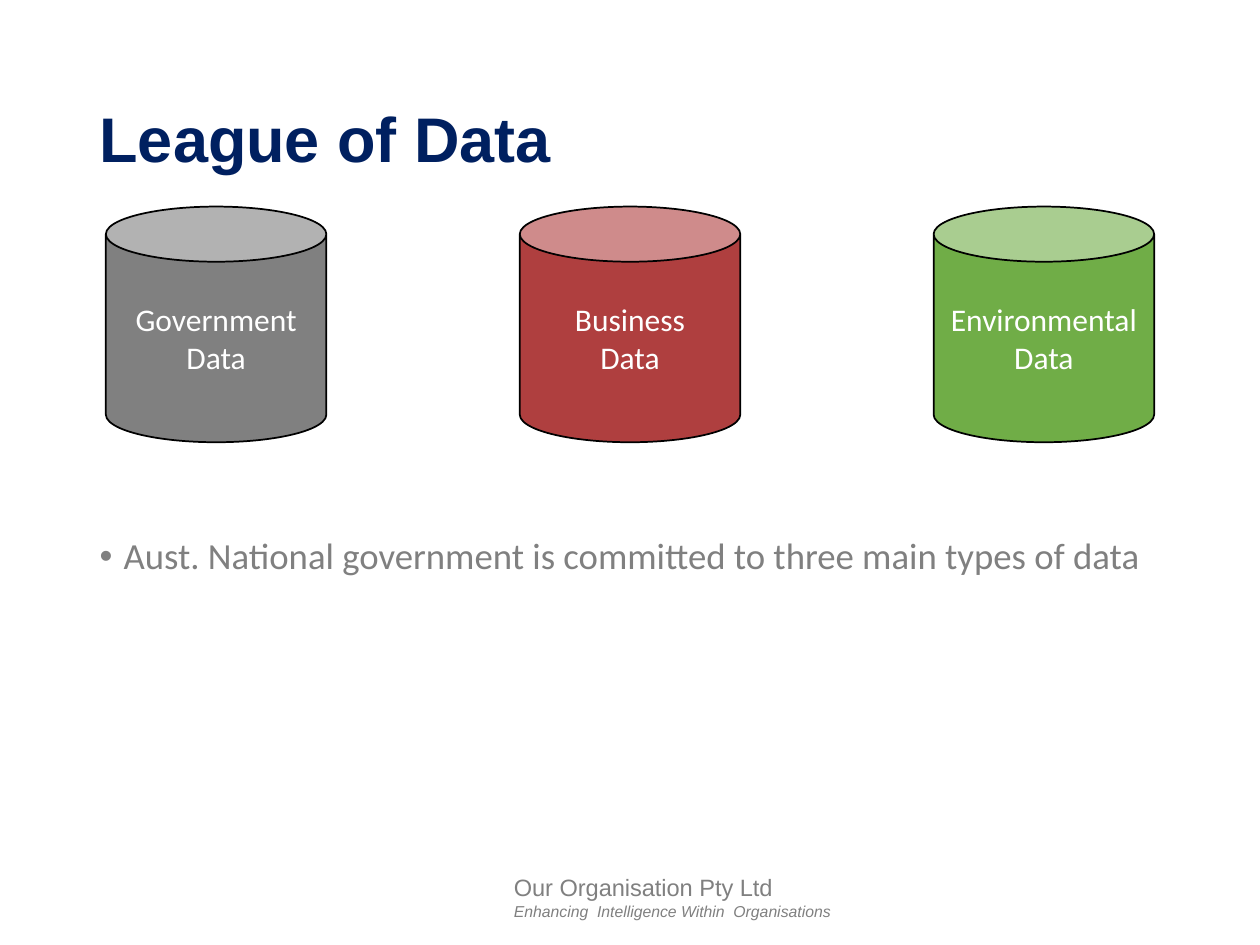
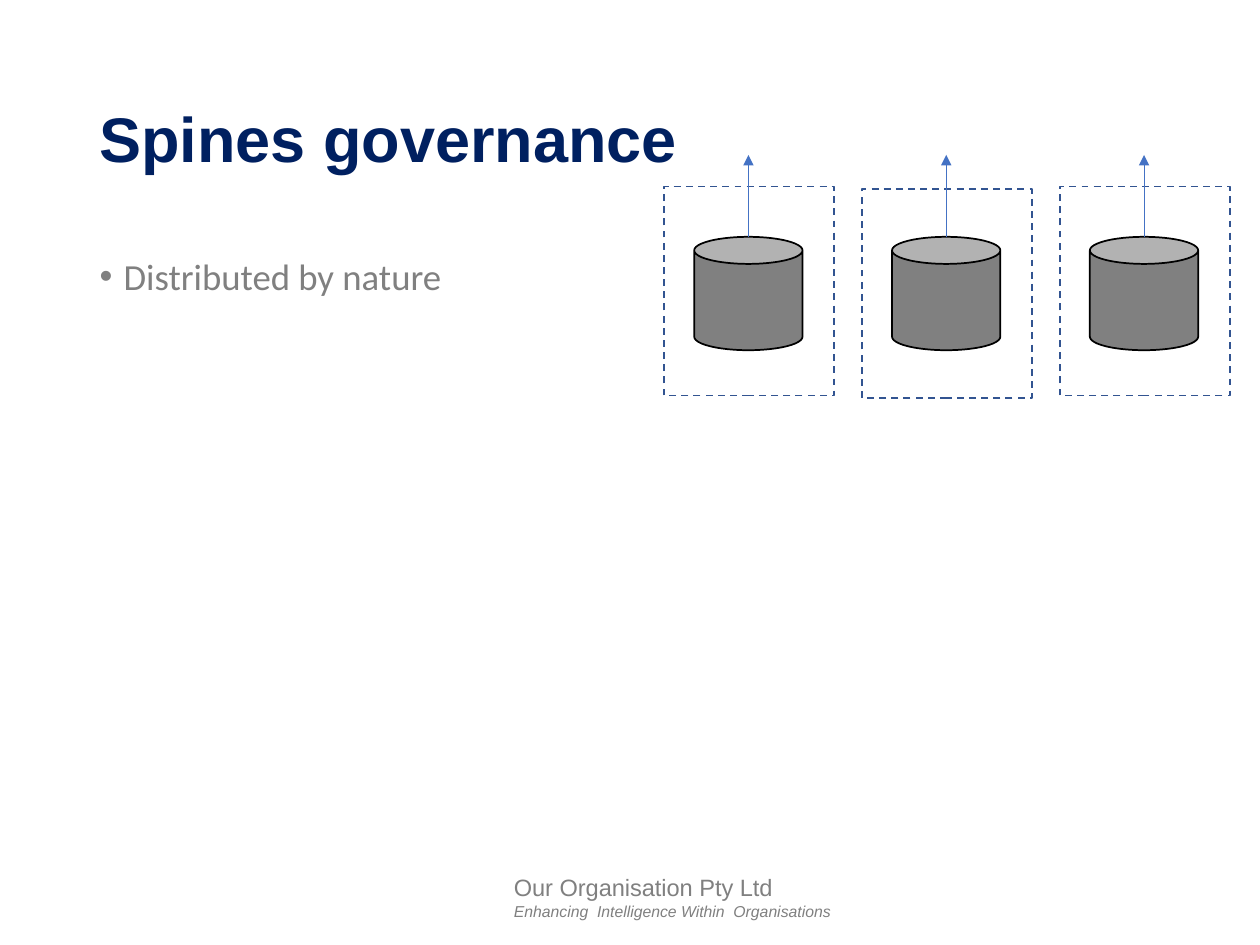
from dataclasses import dataclass

from lxml import etree
from pptx import Presentation
from pptx.dml.color import RGBColor
from pptx.enum.dml import MSO_LINE
from pptx.enum.shapes import MSO_CONNECTOR, MSO_SHAPE
from pptx.enum.text import MSO_ANCHOR, MSO_AUTO_SIZE, PP_ALIGN
from pptx.oxml.ns import qn
from pptx.presentation import Presentation as Deck
from pptx.shapes.autoshape import Shape
from pptx.slide import Slide
from pptx.util import Inches, Pt

CAN, RECTANGLE = MSO_SHAPE.CAN, MSO_SHAPE.RECTANGLE
STRAIGHT, DASH = MSO_CONNECTOR.STRAIGHT, MSO_LINE.DASH
LEFT, CENTER = PP_ALIGN.LEFT, PP_ALIGN.CENTER
MIDDLE, TOP = MSO_ANCHOR.MIDDLE, MSO_ANCHOR.TOP
NO_AUTOFIT = MSO_AUTO_SIZE.NONE
TITLE_AND_CONTENT = 1

COLORS = {
    "navy": "002060",
    "gray": "808080",
    "red": "AF3F3F",
    "green": "70AD47",
    "white": "FFFFFF",
    "black": "000000",
    "frame": "325491",
    "arrow": "4472C4",
}


@dataclass(frozen=True)
class Area:
    left: float
    top: float
    width: float
    height: float

    @property
    def center(self) -> float:
        return self.left + self.width / 2

    def lengths(self) -> tuple[int, int, int, int]:
        return Inches(self.left), Inches(self.top), Inches(self.width), Inches(self.height)


@dataclass(frozen=True)
class TextStyle:
    size: float
    font: str
    color: str
    bold: bool = False
    italic: bool = False


@dataclass(frozen=True)
class DataStore:
    label: str
    color: str


TITLE_STYLE = TextStyle(36, "Arial", "navy", bold=True)
BULLET_STYLE = TextStyle(21, "Calibri", "gray")
STORE_STYLE = TextStyle(18, "Calibri", "white")
COMPANY_STYLE = TextStyle(13.5, "Arial", "gray")
MOTTO_STYLE = TextStyle(9, "Arial", "gray", italic=True)

TITLE_AREA = Area(0.69, 0.4, 8.62, 1.45)
FOOTER_AREA = Area(3.98, 6.88, 2.88, 0.48)

STORES = (
    DataStore("Government Data", "gray"),
    DataStore("Business\nData", "red"),
    DataStore("Environmental Data", "green"),
)
STORE_LEFT, STORE_PITCH = 0.84, 3.285

FRAME_TOPS = (1.48, 1.5, 1.48)
FRAME_LEFT, SPINE_PITCH = 5.27, 1.57
SPINE_LEFT, SPINE_TOP = 5.51, 1.88
ARROW_TIP = 1.23


def rgb(name: str) -> RGBColor:
    return RGBColor.from_string(COLORS[name])


def add_span(para, text: str, style: TextStyle) -> None:
    span = para.add_run()
    span.text = text
    font = span.font
    font.size, font.name = Pt(style.size), style.font
    font.bold, font.italic = style.bold, style.italic
    font.color.rgb = rgb(style.color)


def add_lines(para, text: str, style: TextStyle) -> None:
    for number, line in enumerate(text.split("\n")):
        if number:
            para.add_line_break()
        add_span(para, line, style)


def fill_placeholder(box: Shape, area: Area, text: str, style: TextStyle, anchor: MSO_ANCHOR):
    """Move a placeholder, write its only paragraph and return that paragraph."""
    box.left, box.top, box.width, box.height = area.lengths()
    frame = box.text_frame
    frame.word_wrap, frame.auto_size = True, NO_AUTOFIT
    frame.vertical_anchor = anchor
    para = frame.paragraphs[0]
    para.alignment, para.line_spacing, para.space_before = LEFT, 0.9, Pt(0)
    add_span(para, text, style)
    return para


def add_bullet(para) -> None:
    properties = para._p.get_or_add_pPr()
    properties.set("marL", str(Inches(0.19)))
    properties.set("indent", str(Inches(-0.19)))
    etree.SubElement(properties, qn("a:buFont"), typeface="Arial")
    etree.SubElement(properties, qn("a:buChar"), char="•")


def add_footer(page: Slide) -> None:
    frame = page.shapes.add_textbox(*FOOTER_AREA.lengths()).text_frame
    frame.word_wrap = True
    company = frame.paragraphs[0]
    add_span(company, "Our Organisation Pty Ltd", COMPANY_STYLE)
    add_span(frame.add_paragraph(), "Enhancing  Intelligence Within  Organisations", MOTTO_STYLE)


def add_page(deck: Deck, title: str, bullet: str, body_area: Area) -> Slide:
    page = deck.slides.add_slide(deck.slide_layouts[TITLE_AND_CONTENT])
    add_footer(page)
    fill_placeholder(page.shapes.title, TITLE_AREA, title, TITLE_STYLE, MIDDLE)
    add_bullet(fill_placeholder(page.placeholders[1], body_area, bullet, BULLET_STYLE, TOP))
    return page


def add_can(page: Slide, area: Area, color: str) -> Shape:
    can = page.shapes.add_shape(CAN, *area.lengths())
    can.shadow.inherit = False
    can.fill.solid()
    can.fill.fore_color.rgb = rgb(color)
    can.line.color.rgb, can.line.width = rgb("black"), Pt(1)
    return can


def add_store(page: Slide, area: Area, store: DataStore) -> None:
    frame = add_can(page, area, store.color).text_frame
    frame.word_wrap, frame.vertical_anchor = True, MIDDLE
    para = frame.paragraphs[0]
    para.alignment = CENTER
    add_lines(para, store.label, STORE_STYLE)


def add_dashed_frame(page: Slide, area: Area) -> None:
    frame = page.shapes.add_shape(RECTANGLE, *area.lengths())
    frame.shadow.inherit = False
    frame.fill.background()
    frame.line.color.rgb, frame.line.width = rgb("frame"), Pt(1)
    frame.line.dash_style = DASH


def add_up_arrow(page: Slide, center: float, bottom: float, tip: float) -> None:
    arrow = page.shapes.add_connector(
        STRAIGHT, Inches(center), Inches(bottom), Inches(center), Inches(tip)
    )
    arrow.line.color.rgb, arrow.line.width = rgb("arrow"), Pt(0.5)
    etree.SubElement(arrow.line._get_or_add_ln(), qn("a:tailEnd"), type="triangle")
    etree.SubElement(arrow._element.spPr, qn("a:effectLst"))


def build_league(deck: Deck) -> None:
    page = add_page(
        deck,
        "League of Data",
        "Aust. National government is committed to three main types of data",
        Area(0.69, 4.22, 8.62, 0.54),
    )
    for column, store in enumerate(STORES):
        add_store(page, Area(STORE_LEFT + column * STORE_PITCH, 1.64, 1.75, 1.87), store)


def build_spines(deck: Deck) -> None:
    page = add_page(
        deck, "Spines governance", "Distributed by nature", Area(0.69, 2, 8.62, 4.76)
    )
    for column, frame_top in enumerate(FRAME_TOPS):
        shift = column * SPINE_PITCH
        spine = Area(SPINE_LEFT + shift, SPINE_TOP, 0.86, 0.9)
        add_can(page, spine, "gray")
        add_dashed_frame(page, Area(FRAME_LEFT + shift, frame_top, 1.35, 1.66))
        add_up_arrow(page, spine.center, spine.top, ARROW_TIP)


def main() -> None:
    deck = Presentation()
    deck.slide_width, deck.slide_height = Inches(10), Inches(7.5)
    build_league(deck)
    build_spines(deck)
    deck.save("out.pptx")


if __name__ == "__main__":
    main()
